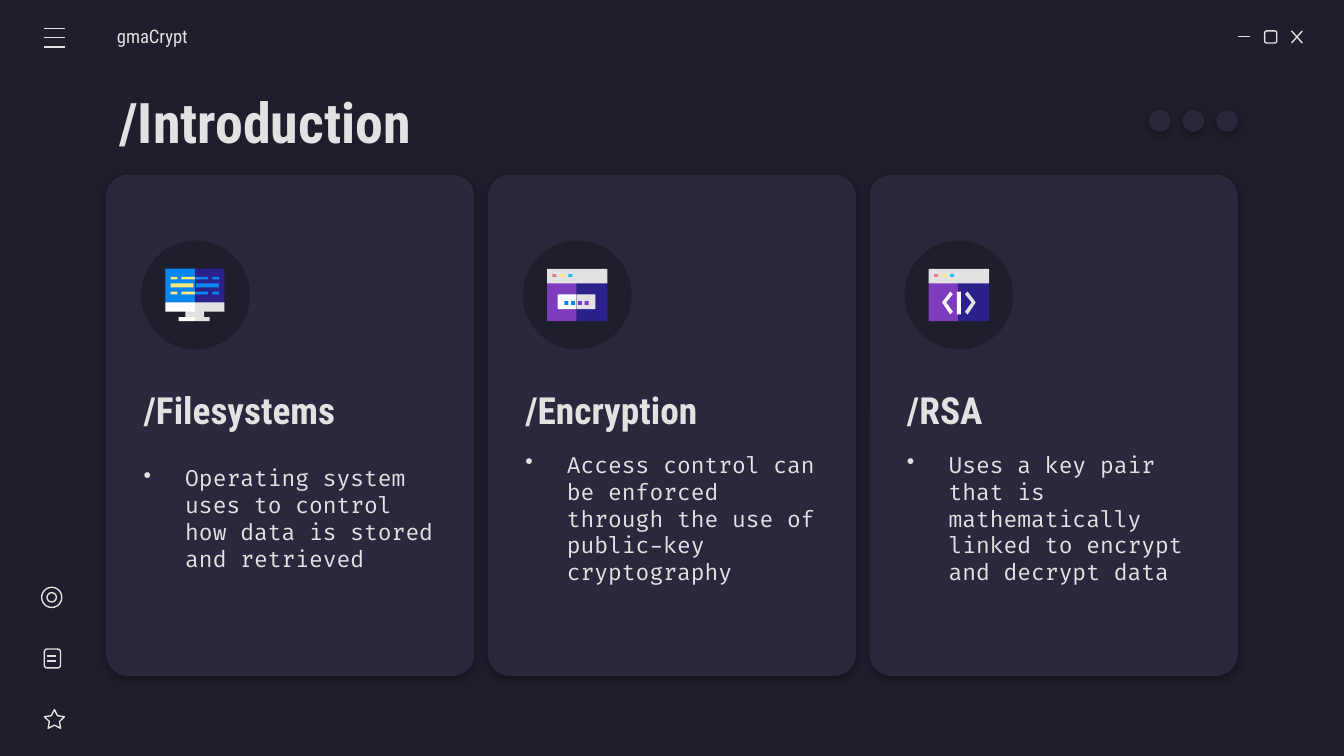
from lxml import etree
from pptx import Presentation
from pptx import util as u
from pptx.dml.color import RGBColor
from pptx.enum import shapes as kinds, text
from pptx.oxml.ns import qn

NIGHT = RGBColor(0x1E, 0x1E, 0x2C)
PANEL = RGBColor(0x29, 0x28, 0x3D)
LIGHT = RGBColor(0xE2, 0xE2, 0xE2)
WHITE = RGBColor(0xFF, 0xFF, 0xFF)
NAVY = RGBColor(0x2B, 0x21, 0x8D)
PURPLE = RGBColor(0x7E, 0x3B, 0xBE)
BLUE = RGBColor(0x08, 0x87, 0xF2)
CYAN = RGBColor(0x24, 0xBF, 0xEB)
YELLOW = RGBColor(0xFF, 0xEA, 0x7D)
ROSE = RGBColor(0xE0, 0x7A, 0x88)

SHAPE = kinds.MSO_SHAPE
HEADING = {"name": "Roboto Condensed", "bold": True}
BODY = {"name": "Fira Code", "size": u.Pt(12)}


def paint(part, fill=None, outline=None):
    part.shadow.inherit = False
    if fill is None:
        part.fill.background()
    else:
        part.fill.solid()
        part.fill.fore_color.rgb = fill
    if outline is None:
        part.line.fill.background()
    else:
        part.line.color.rgb = outline
        part.line.width = u.Pt(0.75)
    return part


def block(parent, kind, box, fill=None, outline=None, adjust=()):
    part = parent.add_shape(kind, *map(u.Inches, box))
    for index, value in enumerate(adjust):
        part.adjustments[index] = value
    return paint(part, fill, outline)


def cast_shadow(part):
    effects = part._element.spPr.find(qn("a:effectLst"))
    shadow = etree.SubElement(effects, qn("a:outerShdw"), blurRad=str(u.Pt(4.5)),
                              dist=str(u.Pt(1.5)), dir="5400000",
                              algn="bl", rotWithShape="0")
    colour = etree.SubElement(shadow, qn("a:srgbClr"), val="000000")
    etree.SubElement(colour, qn("a:alpha"), val="30000")


def stroke(parent, *ends):
    line = parent.add_connector(kinds.MSO_CONNECTOR.STRAIGHT, *map(u.Inches, ends))
    line.line.color.rgb = LIGHT
    line.line.width = u.Pt(0.75)
    etree.SubElement(line._element.spPr, qn("a:effectLst"))


def polygon(parent, points, fill):
    corners = [(u.Inches(x), u.Inches(y)) for x, y in points]
    builder = parent.build_freeform(*corners[0])
    builder.add_line_segments(corners[1:], close=True)
    paint(builder.convert_to_shape(), fill)


def write(parent, box, words, font_format, left_inset=0.1, bullet=False):
    frame = parent.add_textbox(*map(u.Inches, box)).text_frame
    frame_format = {
        "word_wrap": True, "vertical_anchor": text.MSO_ANCHOR.MIDDLE,
        "margin_left": u.Inches(left_inset), "margin_right": u.Inches(0.1),
        "margin_top": u.Inches(0.1), "margin_bottom": u.Inches(0.1),
    }
    for name, value in frame_format.items():
        setattr(frame, name, value)
    paragraph = frame.paragraphs[0]
    run = paragraph.add_run()
    run.text = words
    for name, value in font_format.items():
        setattr(run.font, name, value)
    run.font.color.rgb = LIGHT
    if bullet:
        layout = paragraph._p.get_or_add_pPr()
        layout.set("marL", str(u.Inches(0.31)))
        layout.set("indent", str(u.Inches(-0.31)))
        colour = etree.SubElement(layout, qn("a:buClr"))
        etree.SubElement(colour, qn("a:srgbClr"), val=str(LIGHT))
        etree.SubElement(layout, qn("a:buChar"), char="•")


def tiles(parent, left, top, parts):
    """Draw rectangles given as (x, y, width, height, fill) from the icon corner."""
    for x, y, width, height, fill in parts:
        block(parent, SHAPE.RECTANGLE, (left + x, top + y, width, height), fill)


def monitor_icon(parent, left, top):
    tiles(parent, left, top, [
        (0, 0, 0.22, 0.26, BLUE), (0.22, 0, 0.22, 0.26, NAVY),
        (0.15, 0.3, 0.14, 0.07, LIGHT),
        (0.1, 0.36, 0.12, 0.03, WHITE), (0.22, 0.36, 0.11, 0.03, LIGHT),
        (0, 0.25, 0.22, 0.07, WHITE), (0.22, 0.25, 0.22, 0.07, LIGHT),
        (0.04, 0.11, 0.17, 0.03, YELLOW), (0.23, 0.11, 0.17, 0.03, BLUE),
    ])
    for y in (0.06, 0.17):
        tiles(parent, left, top + y, [
            (x, 0, width, 0.02, fill) for x, width, fill in (
                (0.04, 0.05, YELLOW), (0.12, 0.1, YELLOW),
                (0.22, 0.1, BLUE), (0.35, 0.05, BLUE))
        ])


def window_frame(parent, left, top):
    tiles(parent, left, top, [
        (0, 0.1, 0.22, 0.29, PURPLE), (0.22, 0.1, 0.23, 0.29, NAVY),
        (0, 0, 0.45, 0.11, LIGHT),
    ])
    tiles(parent, left, top, [(0.04 + 0.06 * i, 0.04, 0.03, 0.02, fill)
                              for i, fill in enumerate((ROSE, YELLOW, CYAN))])


def password_icon(parent, left, top):
    window_frame(parent, left, top)
    tiles(parent, left, top, [(0.08, 0.19, 0.14, 0.11, WHITE),
                              (0.22, 0.19, 0.14, 0.11, LIGHT)])
    tiles(parent, left, top, [(0.13 + 0.05 * i, 0.24, 0.03, 0.03, fill)
                              for i, fill in enumerate((BLUE, BLUE, PURPLE, PURPLE))])


def code_icon(parent, left, top):
    window_frame(parent, left, top)
    chevron = [(0.06, 0), (0, 0.08), (0.06, 0.17), (0.08, 0.15), (0.03, 0.08), (0.08, 0.02)]
    for tip, direction, fill in ((0.1, 1, WHITE), (0.35, -1, LIGHT)):
        polygon(parent, [(left + tip + direction * x, top + 0.17 + y)
                         for x, y in chevron], fill)
    tiles(parent, left, top, [(0.21, 0.17, 0.03, 0.17, WHITE)])


def card(slide, left, top, width, height, heading, body, draw_icon):
    panel = block(slide.shapes, SHAPE.ROUNDED_RECTANGLE, (left, top, width, height),
                  PANEL, adjust=[0.06])
    cast_shadow(panel)
    disc_left, disc_top = left + 0.26, top + 0.49
    badge = slide.shapes.add_group_shape().shapes
    block(badge, SHAPE.OVAL, (disc_left, disc_top, 0.81, 0.81), NIGHT)
    draw_icon(badge, disc_left + 0.18, disc_top + 0.21)
    write(slide.shapes, (left + 0.18, top + 1.49, 2.38, 0.51), heading,
          {**HEADING, "size": u.Pt(20)})
    write(slide.shapes, (left + 0.18, top + 2.01, 2.38, 1.09), body, BODY, bullet=True)


def window_controls(slide, left, top):
    controls = slide.shapes.add_group_shape().shapes
    stroke(controls, left, top + 0.04, left + 0.09, top + 0.04)
    block(controls, SHAPE.ROUNDED_RECTANGLE, (left + 0.2, top, 0.09, 0.09), outline=LIGHT)
    stroke(controls, left + 0.4, top, left + 0.48, top + 0.09)
    stroke(controls, left + 0.48, top, left + 0.4, top + 0.09)


def menu_button(slide, left, top):
    bars = slide.shapes.add_group_shape().shapes
    for i in range(3):
        y = top + 0.07 * i
        stroke(bars, left, y, left + 0.15, y)


def side_icons(slide, left, top):
    icons = slide.shapes.add_group_shape().shapes
    for inset, size in ((0, 0.15), (0.04, 0.07)):
        block(icons, SHAPE.OVAL, (left + inset, top + inset, size, size), outline=LIGHT)
    block(icons, SHAPE.ROUNDED_RECTANGLE, (left + 0.02, top + 0.46, 0.12, 0.14), outline=LIGHT)
    for y in (top + 0.51, top + 0.55):
        stroke(icons, left + 0.04, y, left + 0.11, y)
    block(icons, SHAPE.STAR_5_POINT, (left + 0.02, top + 0.91, 0.15, 0.14),
          outline=LIGHT, adjust=[0.25])


def dots(slide, left, top):
    for i in range(3):
        cast_shadow(block(slide.shapes, SHAPE.OVAL,
                          (left + 0.25 * i, top, 0.16, 0.16), PANEL))


def introduction_slide(deck):
    slide = deck.slides.add_slide(deck.slide_layouts[6])
    slide.background.fill.solid()
    slide.background.fill.fore_color.rgb = NIGHT

    menu_button(slide, 0.33, 0.21)
    write(slide.shapes, (0.87, 0.12, 1.17, 0.3), "gmaCrypt",
          {"name": "Roboto Condensed", "size": u.Pt(10)}, left_inset=0)
    window_controls(slide, 9.21, 0.23)
    write(slide.shapes, (0.79, 0.59, 4.97, 0.63), "/Introduction",
          {**HEADING, "size": u.Pt(30)})
    dots(slide, 8.55, 0.82)
    side_icons(slide, 0.31, 4.37)

    topics = [
        ("/Filesystems", "Operating system uses to control how data is stored and retrieved",
         monitor_icon),
        ("/Encryption", "Access control can be enforced through the use of public-key cryptography",
         password_icon),
        ("/RSA", "Uses a key pair that is mathematically linked to encrypt and decrypt data",
         code_icon),
    ]
    for i, topic in enumerate(topics):
        card(slide, 0.79 + 2.84 * i, 1.3, 2.74, 3.73, *topic)


def main():
    deck = Presentation()
    deck.slide_width = u.Inches(10)
    deck.slide_height = deck.slide_width * 9 // 16
    introduction_slide(deck)
    deck.save("out.pptx")


if __name__ == "__main__":
    main()
